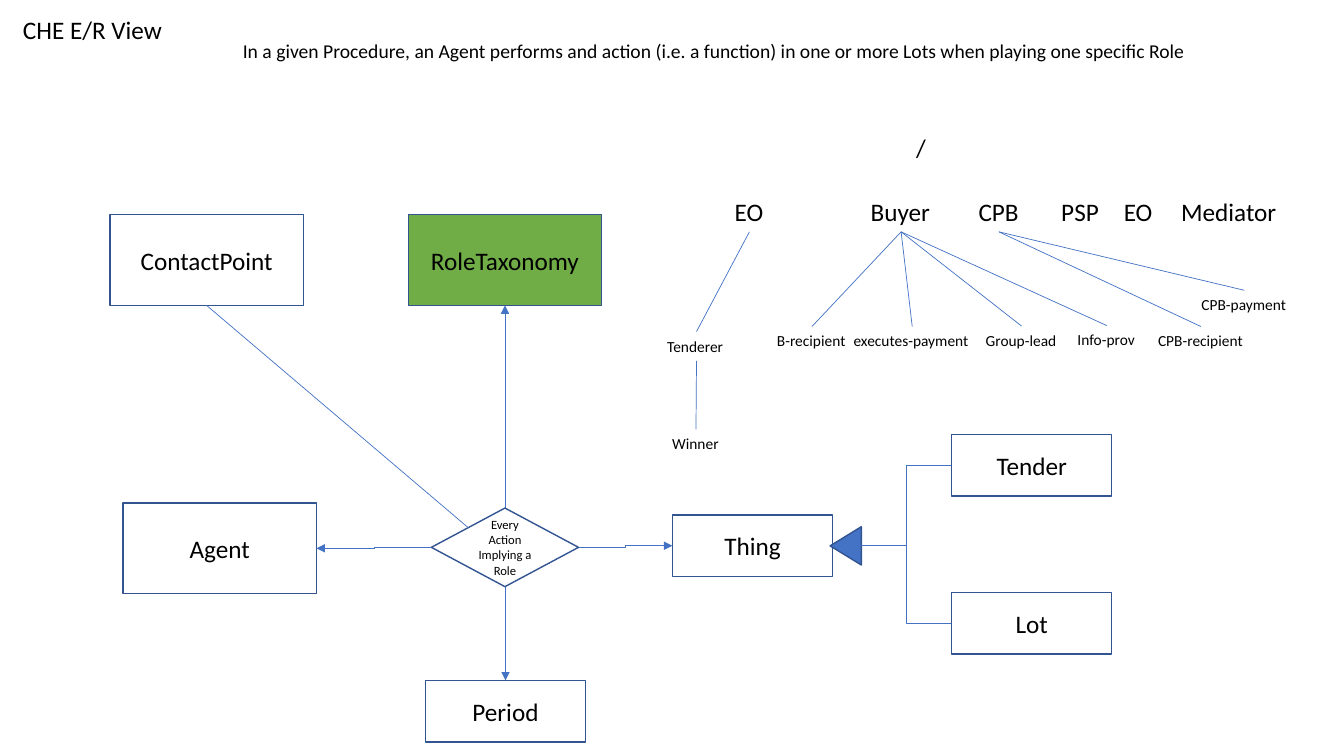
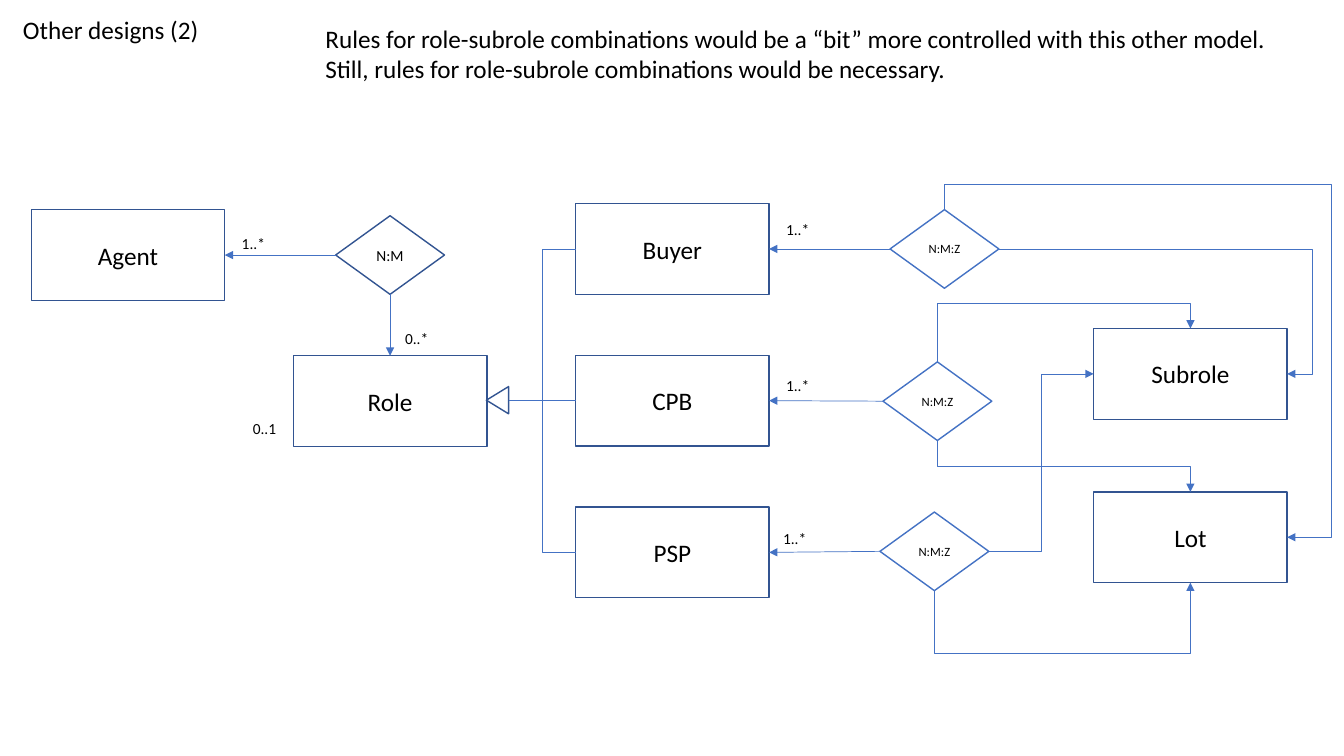
from dataclasses import dataclass
from typing import NamedTuple, Optional

from lxml import etree
from pptx import Presentation
from pptx.dml.color import RGBColor
from pptx.enum import shapes, text
from pptx.oxml import ns
from pptx.util import Emu, Pt

# Grid: 160 columns by 90 rows of square cells
COLUMNS, ROWS = 160, 90
SLIDE_WIDTH, SLIDE_HEIGHT = Emu(12192000), Emu(6858000)
CELL = SLIDE_WIDTH // COLUMNS

# Shared style
FONT = "Calibri"
BLACK = RGBColor(0x00, 0x00, 0x00)
BLUE = RGBColor(0x44, 0x72, 0xC4)
NAVY = RGBColor(0x32, 0x54, 0x91)
GREEN = RGBColor(0x70, 0xAD, 0x47)
LABEL_ROWS = {18: 4.8, 14: 4.08, 11: 3.48}
LARGE_BOX = (23.04, 10.8)
SMALL_BOX = (19.08, 7.32)
RECTANGLE = shapes.MSO_SHAPE.RECTANGLE
DIAMOND = shapes.MSO_SHAPE.DIAMOND
TRIANGLE = shapes.MSO_SHAPE.ISOSCELES_TRIANGLE


class Point(NamedTuple):
    column: float
    row: float


@dataclass(frozen=True)
class Node:
    """A box, diamond, triangle or (without a kind) plain label."""
    words: str
    left: float
    top: float
    width: float
    height: float
    size: int = 18
    kind: Optional[shapes.MSO_SHAPE] = None
    fill: Optional[RGBColor] = None
    outline: RGBColor = NAVY

    def port(self, across: float, down: float) -> Point:
        return Point(self.left + across * self.width, self.top + down * self.height)

    @property
    def up(self) -> Point:
        return self.port(0.5, 0)

    @property
    def down(self) -> Point:
        return self.port(0.5, 1)

    @property
    def west(self) -> Point:
        return self.port(0, 0.5)

    @property
    def east(self) -> Point:
        return self.port(1, 0.5)


@dataclass(frozen=True)
class Link:
    """A connector; bends lists where an elbow turns, along alternating axes."""
    start: Point
    end: Point
    arrow: str = ""
    elbow: bool = False
    upright: bool = False
    bends: tuple[float, ...] = ()


# Kinds of node
def box(words: str, left: float, top: float, extent=LARGE_BOX, fill=None) -> Node:
    return Node(words, left, top, *extent, kind=RECTANGLE, fill=fill)


def diamond(words: str, left: float, top: float, width=12.96, size=9, outline=BLUE) -> Node:
    return Node(words, left, top, width, 9.36, size, DIAMOND, outline=outline)


def label(words: str, left: float, top: float, width: float, size=11) -> Node:
    return Node(words, left, top, width, LABEL_ROWS[size], size)


# Drawing
def cells(count: float) -> Emu:
    return Emu(round(count * CELL))


def write(frame: text, node: Node) -> None:
    for index, line in enumerate(node.words.split("\n")):
        paragraph = frame.paragraphs[0] if index == 0 else frame.add_paragraph()
        if node.kind:
            paragraph.alignment = text.PP_ALIGN.CENTER
        run = paragraph.add_run()
        run.text = line
        run.font.name = FONT
        run.font.size = Pt(node.size)
        run.font.color.rgb = BLACK


def draw_node(slide, node: Node) -> None:
    left, top, width, height = node.left, node.top, node.width, node.height
    if node.kind is None:
        shape = slide.shapes.add_textbox(*map(cells, (left, top, width, height)))
        shape.text_frame.word_wrap = False
        shape.text_frame.auto_size = text.MSO_AUTO_SIZE.SHAPE_TO_FIT_TEXT
        write(shape.text_frame, node)
        return
    if node.kind == TRIANGLE:  # a quarter turn swaps the sides about the centre
        shift = (width - height) / 2
        left, top, width, height = left + shift, top - shift, height, width
    shape = slide.shapes.add_shape(node.kind, *map(cells, (left, top, width, height)))
    shape.shadow.inherit = False
    if node.kind == TRIANGLE:
        shape.rotation = 270
    if node.fill is None:
        shape.fill.background()
    else:
        shape.fill.solid()
        shape.fill.fore_color.rgb = node.fill
    shape.line.color.rgb = node.outline
    shape.line.width = Pt(1)
    if node.words:
        shape.text_frame.vertical_anchor = text.MSO_ANCHOR.MIDDLE
        write(shape.text_frame, node)


def draw_link(slide, link: Link) -> None:
    start, end = link.start, link.end
    if link.upright:  # lay the path on its side, then turn it by 90 degrees
        middle = Point((start.column + end.column) / 2, (start.row + end.row) / 2)
        start, end = (Point(middle.column + point.row - middle.row,
                            middle.row - point.column + middle.column)
                      for point in (start, end))
    kind = shapes.MSO_CONNECTOR.ELBOW if link.elbow else shapes.MSO_CONNECTOR.STRAIGHT
    connector = slide.shapes.add_connector(kind, *map(cells, (*start, *end)))
    connector.line.color.rgb = BLUE
    connector.line.width = Pt(0.5)
    properties = connector._element.spPr
    if link.upright:
        properties.find(ns.qn("a:xfrm")).set("rot", "5400000")
    if link.bends:
        geometry = properties.find(ns.qn("a:prstGeom"))
        geometry.set("prst", f"bentConnector{len(link.bends) + 2}")
        guides = geometry.find(ns.qn("a:avLst"))
        if guides is None:
            guides = etree.SubElement(geometry, ns.qn("a:avLst"))
        for index, bend in enumerate(link.bends):
            axis = (index + link.upright) % 2
            share = (bend - link.start[axis]) / (link.end[axis] - link.start[axis])
            etree.SubElement(guides, ns.qn("a:gd"), name=f"adj{index + 1}",
                             fmla=f"val {round(share * 100000)}")
    if link.arrow:
        line = properties.find(ns.qn("a:ln"))
        etree.SubElement(line, ns.qn(f"a:{link.arrow}End"), type="triangle")
    etree.SubElement(properties, ns.qn("a:effectLst"))


def build_slide(presentation, title: Node, nodes: list[Node], links: list[Link]) -> None:
    slide = presentation.slides.add_slide(presentation.slide_layouts[6])
    for node in (title, *nodes):
        draw_node(slide, node)
    for link in links:
        draw_link(slide, link)


def title_label(words: str, width: float) -> Node:
    return label(words, 1.56, 1.08, width, 18)


def build_entity_view(presentation) -> None:
    # Entities around the action
    agent = box("Agent", 14.64, 59.88)
    taxonomy = box("RoleTaxonomy", 48.6, 25.56, fill=GREEN)
    contact = box("ContactPoint", 13.08, 25.56)
    thing = box("Thing", 80.04, 61.32, SMALL_BOX)
    tender = box("Tender", 113.28, 51.72, SMALL_BOX)
    lot = box("Lot", 113.28, 70.56, SMALL_BOX)
    period = box("Period", 50.64, 81, SMALL_BOX)
    action = diamond("Every Action Implying a\nRole", 51.36, 60.48, 17.52, outline=NAVY)
    subtype = Node("", 98.82, 62.7, 3.72, 4.56, kind=TRIANGLE, fill=BLUE)

    # Roles and their subroles
    roles = [label(words, left, 22.8, width, 18) for words, left, width in (
        ("EO", 86.28, 5.88), ("Buyer", 102.48, 9.6), ("CPB", 115.32, 7.2),
        ("PSP", 125.16, 6.96), ("EO", 132.6, 5.88), ("Mediator", 139.44, 13.92))]
    operator, buyer, purchasing_body = roles[:3]
    tenderer = label("Tenderer", 78.24, 39.48, 9.36)
    winner = label("Winner", 78.84, 51.12, 8.04)
    buyer_subroles = [label(words, left, top, width) for words, left, top, width in (
        ("B-recipient", 91.32, 38.88, 10.68), ("executes-payment", 100.44, 38.88, 16.32),
        ("Group-lead", 116.16, 38.82, 10.92), ("Info-prov", 127.08, 38.76, 9.36))]
    body_subroles = [label("CPB-recipient", 136.68, 38.88, 12.6),
                     label("CPB-payment", 141.84, 34.56, 12.6)]
    tree = [(operator, tenderer), (tenderer, winner),
            *((buyer, subrole) for subrole in buyer_subroles),
            *((purchasing_body, subrole) for subrole in body_subroles)]

    sentence = label("In a given Procedure, an Agent performs and action (i.e. a function) "
                     "in one or more Lots when playing one specific Role",
                     27.72, 4.08, 118.2, 14)
    slash = label("/", 107.88, 15.12, 3.6, 18)
    build_slide(
        presentation, title_label("CHE E/R View", 19.2),
        [sentence, slash, *roles, tenderer, winner, *buyer_subroles, *body_subroles,
         agent, taxonomy, contact, thing, action, tender, lot, period, subtype],
        [*(Link(parent.down, child.up) for parent, child in tree),
         Link(contact.down, action.port(0.25, 0.25)),
         Link(action.east, thing.west, "tail", elbow=True),
         Link(action.west, agent.east, "tail", elbow=True),
         Link(action.up, taxonomy.down, "tail", elbow=True, upright=True),
         Link(action.down, period.up, "tail", elbow=True, upright=True),
         *(Link(part.west, subtype.east, elbow=True) for part in (tender, lot))])


def build_other_design(presentation) -> None:
    # Entities
    agent = box("Agent", 3.72, 24.96)
    role = box("Role", 34.92, 42.36)
    subrole = box("Subrole", 130.2, 39.12)
    lot = box("Lot", 130.2, 58.56)
    kinds = [box(words, 68.52, 24.24 + 18.06 * index)
             for index, words in enumerate(("Buyer", "CPB", "PSP"))]
    subtype = Node("", 57.9, 46.02, 2.64, 3.24, kind=TRIANGLE)

    # Relations and cardinalities
    assignment = diamond("N:M", 39.96, 25.68, size=11, outline=NAVY)
    relations = [diamond("N:M:Z", left, top) for left, top in (
        (105.96, 24.96), (105.12, 43.08), (104.76, 60.96))]
    buyer_relation, body_relation, provider_relation = relations
    counts = [label(words, left, top, 5.28) for words, left, top in (
        ("0..1", 28.92, 49.32), ("0..*", 47.04, 38.64), ("1..*", 27.6, 27.24),
        ("1..*", 92.4, 25.56), ("1..*", 92.4, 44.16), ("1..*", 92.04, 62.4))]

    remark = label("Rules for role-subrole combinations would be a “bit” more controlled "
                   "with this other model.\nStill, rules for role-subrole combinations "
                   "would be necessary.", 37.56, 2.16, 115.68, 18)
    build_slide(
        presentation, title_label("Other designs (2)", 23.52),
        [remark, agent, role, subrole, lot, *kinds, subtype, assignment, *relations, *counts],
        [Link(assignment.down, role.up, "tail"),
         Link(assignment.west, agent.east, "tail"),
         *(Link(subtype.east, kind.west, elbow=True) for kind in kinds),
         *(Link(relation.west, kind.east, "tail") for relation, kind in zip(relations, kinds)),
         Link(subrole.east, buyer_relation.east, "head", elbow=True, bends=(156.24,)),
         Link(lot.east, buyer_relation.up, "head", elbow=True, bends=(158.52, 21.96)),
         Link(subrole.up, body_relation.up, "head", elbow=True, upright=True, bends=(36.12,)),
         Link(lot.up, body_relation.down, "head", elbow=True, upright=True),
         Link(subrole.west, provider_relation.east, "head", elbow=True),
         Link(lot.down, provider_relation.down, "head", elbow=True, upright=True,
              bends=(77.76,))])


def main() -> None:
    presentation = Presentation()
    presentation.slide_width, presentation.slide_height = SLIDE_WIDTH, SLIDE_HEIGHT
    build_entity_view(presentation)
    build_other_design(presentation)
    presentation.save("out.pptx")


main()
